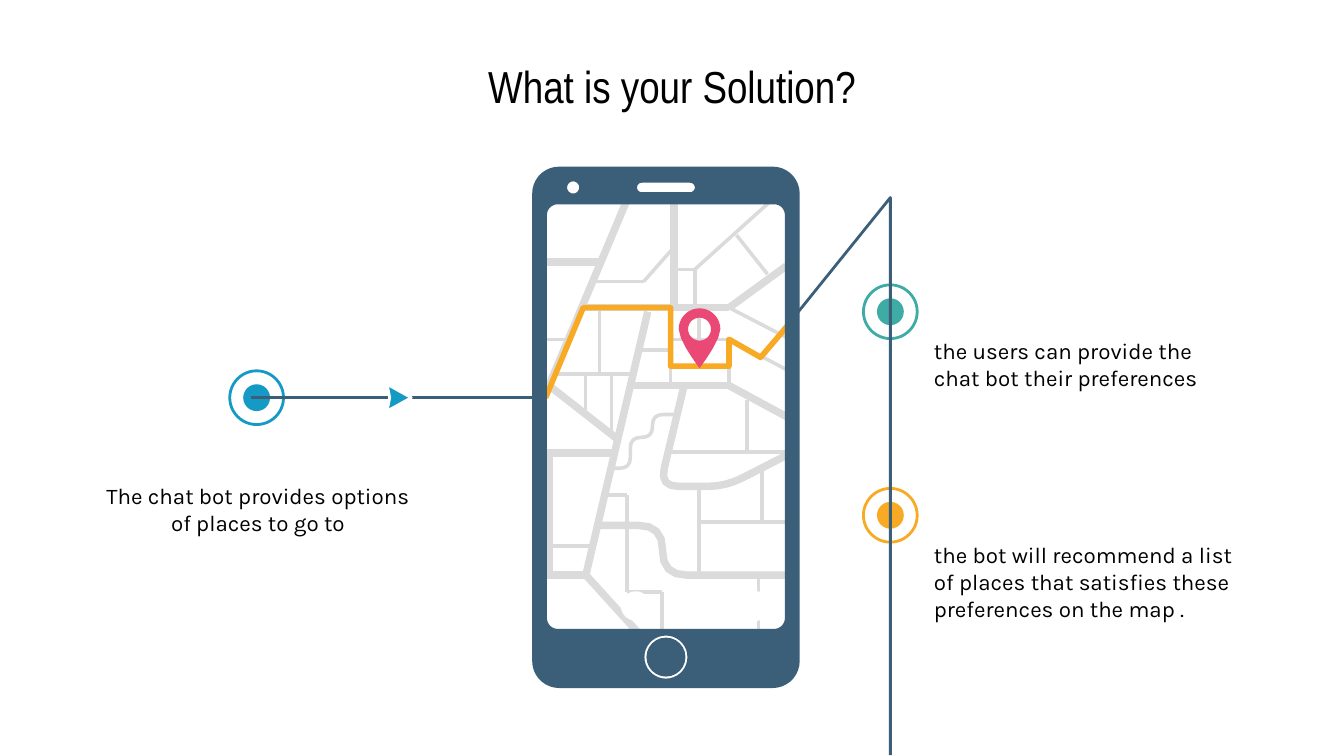
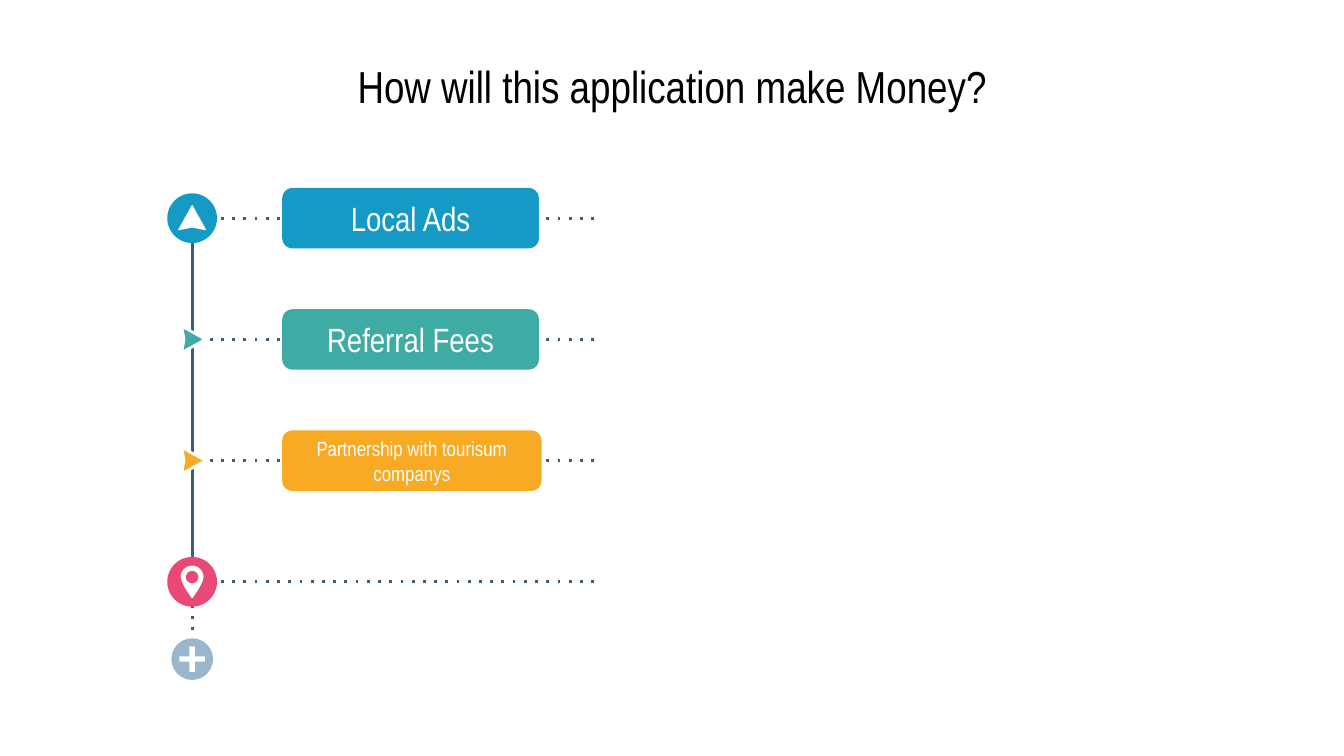
import math
from dataclasses import dataclass

import lxml.etree
import pptx
import pptx.dml.color
import pptx.enum.dml
import pptx.enum.shapes
import pptx.enum.text
import pptx.oxml.ns
import pptx.util


@dataclass(frozen=True)
class Theme:
    ink: str = "000000"
    white: str = "FFFFFF"
    slate: str = "3C5F79"
    blue: str = "159AC6"
    teal: str = "3FABA5"
    gold: str = "F8AA25"
    pink: str = "E94974"
    mist: str = "99B6CC"
    street: str = "DBDBDB"
    head: str = "Arial Narrow"
    body: str = "Karla"
    title: int = 24
    label: int = 18
    note: int = 12
    small: int = 11


theme = Theme()
Cm = pptx.util.Cm
Pt = pptx.util.Pt
Shape = pptx.enum.shapes.MSO_SHAPE
Align = pptx.enum.text.PP_ALIGN
Anchor = pptx.enum.text.MSO_ANCHOR
color = pptx.dml.color.RGBColor.from_string
wide = 25.4
unit = wide / 1000


def write(shape, words, size=theme.note, font=theme.body, ink=theme.ink,
          align=Align.CENTER, anchor=Anchor.MIDDLE):
    frame = shape.text_frame
    frame.word_wrap = True
    frame.auto_size = pptx.enum.text.MSO_AUTO_SIZE.NONE
    frame.vertical_anchor = anchor
    frame.margin_left = frame.margin_right = Cm(0.25)
    frame.margin_top = frame.margin_bottom = Cm(0.25)
    part = frame.paragraphs[0]
    part.alignment = align
    run = part.add_run()
    run.text = words
    run.font.size = Pt(size)
    run.font.name = font
    run.font.color.rgb = color(ink)


def draw(slide, kind, spots, fill=None, line=None, width=1.5, dots=False, close=True):
    shapes = slide.shapes
    if kind == "path":
        loops = [[(Cm(x * unit), Cm(y * unit)) for x, y in loop] for loop in spots]
        pen = shapes.build_freeform(*loops[0][0])
        for i, loop in enumerate(loops):
            if i:
                pen.move_to(*loop[0])
            pen.add_line_segments(loop[1:], close=close)
        shape = pen.convert_to_shape()
    elif kind == "line":
        ends = [Cm(v * unit) for v in spots]
        shape = shapes.add_connector(pptx.enum.shapes.MSO_CONNECTOR.STRAIGHT, *ends)
        lxml.etree.SubElement(shape.element.spPr, pptx.oxml.ns.qn("a:effectLst"))
    else:
        shape = shapes.add_shape(kind, *[Cm(v * unit) for v in spots])
    if kind != "line":
        shape.shadow.inherit = False
        if fill:
            shape.fill.solid()
            shape.fill.fore_color.rgb = color(fill)
        else:
            shape.fill.background()
    if line:
        shape.line.color.rgb = color(line)
        shape.line.width = Pt(width)
    else:
        shape.line.fill.background()
    if dots:
        shape.line.dash_style = pptx.enum.dml.MSO_LINE.ROUND_DOT
        for dash in shape.element.iter(pptx.oxml.ns.qn("a:prstDash")):
            dash.set("val", "dot")
    return shape


deck = pptx.Presentation()
deck.slide_width = Cm(wide)
deck.slide_height = Cm(14.29)

pages = []
for words in ("What is your Solution?", "How will this application make Money?"):
    page = deck.slides.add_slide(deck.slide_layouts[5])
    title = page.shapes.title
    title.left, title.top, title.width, title.height = [
        Cm(v * unit) for v in (232, 42.5, 536, 42)]
    write(title, words, size=theme.title, font=theme.head)
    pages.append(page)
first, second = pages

dart = [(0, 0), (-18, -10), (-16, 0), (-18, 10)]
turns = [math.radians(a) for a in range(0, 360, 10)]
ring = [(math.cos(a), math.sin(a)) for a in turns]
tip = 1.87
side = []
for t in (0.2, 0.4, 0.6, 0.8):
    near = 3 * t * (1 - t) ** 2
    far = 3 * t ** 2 * (1 - t) + t ** 3
    side.append(((1 - t) ** 3 + near, 0.58 * near + tip * far))
drop = ring[18:] + [ring[0]] + side + [(0, tip)] + [(-x, y) for x, y in reversed(side)]
pin = [drop, [(0.55 * x, 0.55 * y) for x, y in ring]]

stem = 662.5
level = 296
steps = [
    (191, level, theme.blue, -123, 53, Align.CENTER,
     "The chat bot provides options of places to go to"),
    (stem, 232, theme.teal, 22.5, 9, Align.LEFT,
     "the users can provide the chat bot their preferences"),
    (stem, 383.5, theme.gold, 22.5, 9.5, Align.LEFT,
     "the bot will recommend a list of places that satisfies these preferences on the map ."),
]
for x, y, hue, right, down, align, words in steps:
    for r, look in ((10, {"fill": hue}), (20, {"line": hue})):
        draw(first, Shape.OVAL, (x - r, y - r, 2 * r, 2 * r), **look)
    box = first.shapes.add_textbox(*[Cm(v * unit) for v in (x + right, y + down, 248, 87)])
    write(box, words, align=align, anchor=Anchor.TOP)

west, east, north, south = 406, 585, 150, 471
screen = draw(first, Shape.ROUNDED_RECTANGLE, (west, north, east - west, 320),
              fill=theme.white, line=theme.street, width=0.75)
screen.adjustments[0] = 0.06

main, cross, dock = 229, 287, 428
shop, yard, gate = 499, 520, 542.5
inn, mall = 252.5, 272.5
hill = {y: 466 - 0.42 * (y - north) for y in (north, 195, 209.5, main, inn, 278.5, 285)}
park = {y: 482 - 0.235 * (y - 232)
        for y in (232, 260.5, 278.5, cross, 327, 337, 348.5, 368.5, 391, 406.5, dock)}

slopes = [
    [(hill[north], north), (hill[285], 285)],
    [(park[232], 232), (park[dock], dock)],
    [(west, 285), (park[327], 327)],
    [(gate, main), (east, 198)],
    [(gate, cross), (east, 310)],
    [(park[dock], dock), (475, south)],
]
spans = [(195, west, hill[195]), (main, hill[main], gate), (cross, park[cross], gate),
         (337, west, park[337]), (dock, west, park[dock])]
posts = [(501.5, north, main), (409, 337, dock)]

paths = [
    [(479, 209.5), (501.5, 184)],
    [(517, 200.5), (573, north)],
    [(548, 175), (571, 204)],
    [(gate, main), (east, 251)],
    [(gate, inn), (east, 275)],
    [(568, 264), (east, 242)],
]
rungs = [(209.5, hill[209.5], 479), (200.5, 501.5, 517), (inn, west, hill[inn]),
         (inn, shop, gate), (260.5, park[260.5], shop), (mall, shop, gate),
         (278.5, hill[278.5], park[278.5]), (336.5, shop, east),
         (368.5, park[368.5], 466.5), (388.5, yard, east),
         (406.5, west, park[406.5]), (440.5, 466.5, 492.5)]
poles = [(517, 200.5, main), (yard, main, mall), (shop, main, cross), (gate, inn, cross),
         (446, main, 278.5), (435.5, 278.5, 306), (455, 278.5, 324), (556, 298, 336.5),
         (567, 350, 388.5), (yard, 362, dock), (466.5, 368.5, 440.5),
         (492.5, 440.5, south), (564.5, dock, south)]

bank = [(509, cross), (491, 362), (540, 362), (east, 339)]
tram = [(park[391], 391), (493, 391), (493, dock), (east, dock)]
creek = [(504, 308.5), (485.5, 308.5), (485.5, 325.5), (469, 325.5),
         (469, 348.5), (park[348.5], 348.5)]

curves = []
for track, reach in ((bank, 14), (tram, 18), (creek, 8)):
    curve = [track[0]]
    for back, bend, ahead in zip(track, track[1:], track[2:]):
        start, stop = [
            [b + reach * (e - b) / math.dist(bend, end) for b, e in zip(bend, end)]
            for end in (back, ahead)]
        for t in (0, 0.25, 0.5, 0.75, 1):
            curve.append([(1 - t) ** 2 * s + 2 * t * (1 - t) * b + t ** 2 * e
                          for s, b, e in zip(start, bend, stop)])
    curves.append(curve + [track[-1]])

roads = slopes + curves[:2]
lanes = paths + curves[2:]
for group, flats, walls, width in ((roads, spans, posts, 4), (lanes, rungs, poles, 1.9)):
    group += [[(a, y), (b, y)] for y, a, b in flats]
    group += [[(x, a), (x, b)] for x, a, b in walls]
    draw(first, "path", group, line=theme.street, width=width, close=False)
for i in range(4):
    draw(first, Shape.OVAL, (417 + 45 * i, 440, 22, 22), fill=theme.white)

route = [(west, level), (434, main), (shop, main), (shop, mall), (gate, mall),
         (gate, inn), (566, 266), (589, 239)]
trail = [(590, 237), (stem, 147), (stem, 562)]
for track, hue, width in ((route, theme.gold, 3), (trail, theme.slate, 1.5)):
    draw(first, "path", [track], line=hue, width=width, close=False)
draw(first, "line", (402, level, 187, level), line=theme.slate)

parts = {
    "body": (396, 124, 199, 388, 20),
    "glass": (407, 152, 177, 316, 8),
    "speaker": (474, 136, 43, 7, 3.5),
    "lens": (422, 135, 9, 9, 4.5),
    "button": (479.5, 473, 32, 32, 16),
}
phone = []
for x, y, w, h, r in parts.values():
    hubs = [(x + w - r, y + h - r), (x + r, y + h - r), (x + r, y + r), (x + w - r, y + r)]
    phone.append([(cx + r * ring[k % 36][0], cy + r * ring[k % 36][1])
                  for i, (cx, cy) in enumerate(hubs) for k in range(9 * i, 9 * i + 10)])
draw(first, "path", phone, fill=theme.slate)
draw(first, Shape.OVAL, (481, 474.5, 29, 29), fill=theme.slate)

axis = 143
rows = [162.4 + 90.2 * i for i in range(4)]
hues = (theme.blue, theme.teal, theme.gold, theme.pink)
draw(second, "line", (axis, 494, axis, 441), line=theme.slate, dots=True)
draw(second, Shape.OVAL, (axis - 15.5, 475, 31, 31), fill=theme.mist)
for w, h in ((19, 4), (4, 19)):
    draw(second, Shape.RECTANGLE, (axis - w / 2, 490.5 - h / 2, w, h), fill=theme.white)
draw(second, "line", (axis, 158, axis, 438), line=theme.slate)
for i, (y, hue) in enumerate(zip(rows, hues)):
    draw(second, "line", (442, y, axis, y), line=theme.slate, dots=True)
    if i in (0, 3):
        draw(second, Shape.OVAL, (axis - 18.5, y - 18.5, 37, 37), fill=hue)
draw(second, "path", [[(axis + v, 153 - x) for x, v in dart]],
     fill=theme.white, line=theme.white, width=0.5)

for page, x, y, r, hue in ((first, 520.5, 245, 15.5, theme.pink),
                           (second, axis, 429.5, 8.5, theme.white)):
    draw(page, "path", [[(x + r * a, y + r * b) for a, b in loop] for loop in pin], fill=hue)
for page, x, y, hue in ((first, 306, level, theme.blue),
                        (second, axis + 10, rows[1], theme.teal),
                        (second, axis + 10, rows[2], theme.gold)):
    draw(page, "path", [[(x + a, y + b) for a, b in dart]], fill=hue, line=theme.white)

plans = [
    ("Local Ads", 191, theme.label),
    ("Referral Fees", 191, theme.label),
    ("Partnership with tourisum companys", 193, theme.small),
]
for (words, width, size), y, hue in zip(plans, rows, hues):
    card = draw(second, Shape.ROUNDED_RECTANGLE, (210, y - 22.5, width, 45), fill=hue)
    card.adjustments[0] = 0.17
    write(card, words, size=size, font=theme.head, ink=theme.white)

deck.save("out.pptx")
